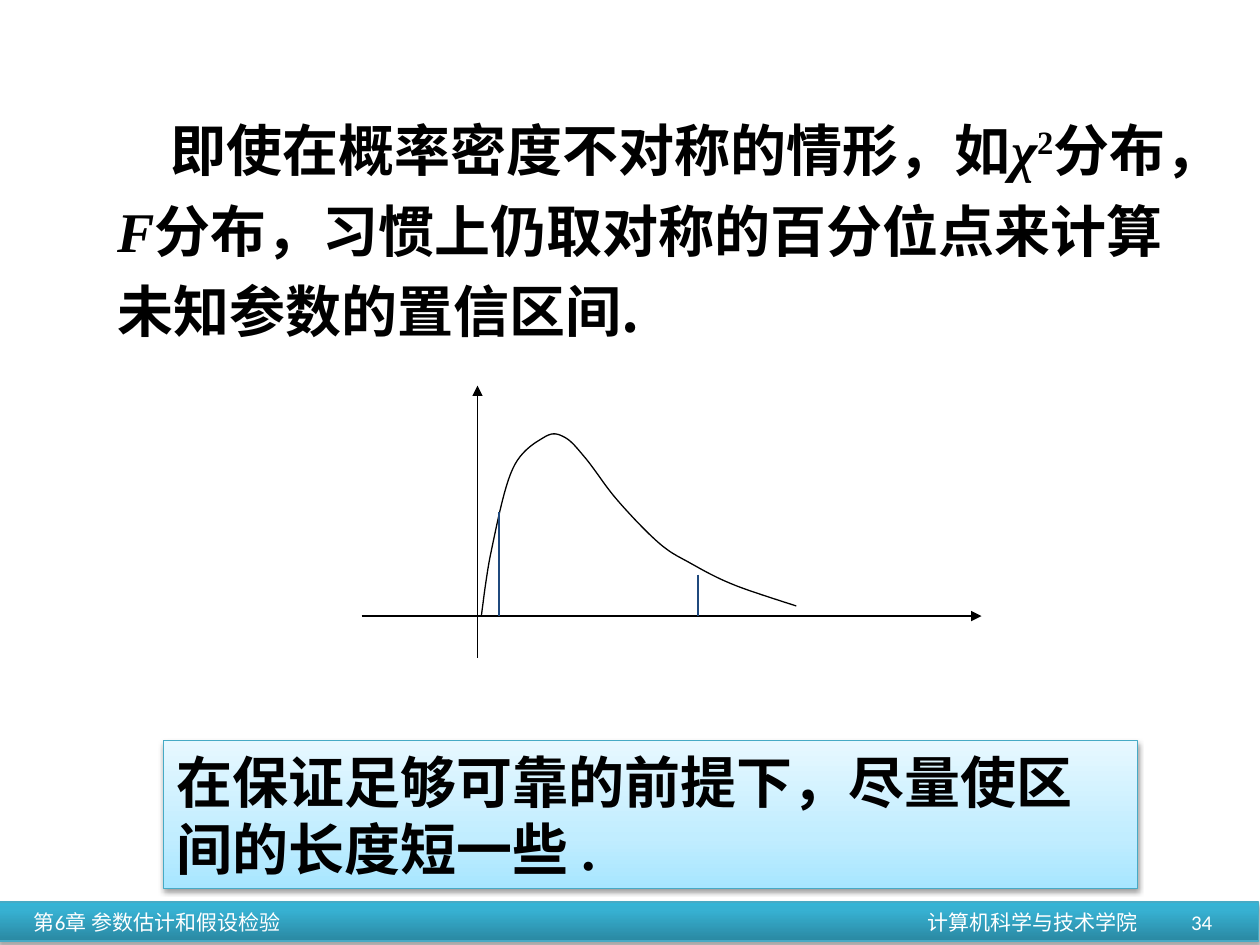
import pptx
import pptx.dml.color
import pptx.enum.shapes
import pptx.enum.text
import pptx.oxml
import pptx.oxml.ns
import pptx.util
from lxml import etree

# Grid: 100 columns by 75 rows; every box is (column, row, columns, rows)
COLUMNS, ROWS = 100, 75
CELL = pptx.util.Inches(0.1)
SANS, SERIF, LATIN = "Noto Sans CJK SC", "Times New Roman", "Calibri"
BLACK, WHITE, EDGE, MARKER = "000000", "FFFFFF", "46AAC5", "1F497D"
qn = pptx.oxml.ns.qn


def cells(*counts):
    return [round(count * CELL) for count in counts]


def colour(code):
    return pptx.dml.color.RGBColor.from_string(code)


def format_run(run, size, code, latin=SANS, bold=False, italic=False):
    run.font.size = pptx.util.Pt(size)
    run.font.bold, run.font.italic = bold, italic
    run.font.color.rgb = colour(code)
    run.font.name = latin
    etree.SubElement(run.font._element, qn("a:ea")).set("typeface", SANS)


def format_line(line, code):
    line.color.rgb = colour(code)
    line.width = pptx.util.Pt(0.75)


def add_panel(slide, box, stops, shadow):
    """Rectangle with an upward gradient and a soft shadow below."""
    panel = slide.shapes.add_shape(
        pptx.enum.shapes.MSO_SHAPE.RECTANGLE, *cells(*box))
    panel.fill.gradient()
    panel.fill.gradient_angle = 90
    stop_list = panel._element.spPr.find(".//" + qn("a:gsLst"))
    for old_stop in list(stop_list):
        stop_list.remove(old_stop)
    for percent, code in stops:
        stop = etree.SubElement(stop_list, qn("a:gs"), pos=str(percent * 1000))
        etree.SubElement(stop, qn("a:srgbClr"), val=code)
    format_line(panel.line, EDGE)

    panel.shadow.inherit = False
    opacity, blur, distance = shadow
    outer = etree.SubElement(
        panel._element.spPr.find(qn("a:effectLst")), qn("a:outerShdw"),
        blurRad=str(pptx.util.Pt(blur)), dist=str(pptx.util.Pt(distance)),
        dir="5400000", rotWithShape="0")
    tint = etree.SubElement(outer, qn("a:srgbClr"), val=BLACK)
    etree.SubElement(tint, qn("a:alpha"), val=str(opacity * 1000))

    panel.text_frame.vertical_anchor = pptx.enum.text.MSO_ANCHOR.MIDDLE
    panel.text_frame.paragraphs[0].alignment = pptx.enum.text.PP_ALIGN.LEFT
    return panel


def add_footer(slide, box):
    left, top, width, height = box
    bar = add_panel(slide, box,
                    [(0, "2A88A2"), (80, "37B1D2"), (100, "34B4D6")],
                    (35, 3.1, 1.8))
    bar.text_frame.margin_left = round(2.8 * CELL)
    chapter = bar.text_frame.paragraphs[0]
    tabs = etree.SubElement(chapter._p.get_or_add_pPr(), qn("a:tabLst"))
    etree.SubElement(tabs, qn("a:tab"), pos=str(round(87.6 * CELL)), algn="r")
    chapter.text = "第6章 参数估计和假设检验\t计算机科学与技术学院"

    number = slide.shapes.add_textbox(
        *cells(left + 74, top - 0.4, 23.3, height + 0.9))
    number.text_frame.word_wrap = True
    number.text_frame.vertical_anchor = pptx.enum.text.MSO_ANCHOR.MIDDLE
    page = number.text_frame.paragraphs[0]
    page.text = "34"
    page.alignment = pptx.enum.text.PP_ALIGN.RIGHT
    for run in (*chapter.runs, *page.runs):
        format_run(run, 12, WHITE, LATIN)


def add_statement(slide, box):
    body = slide.placeholders[1]
    body.left, body.top, body.width, body.height = cells(*box)
    body.text_frame.vertical_anchor = pptx.enum.text.MSO_ANCHOR.MIDDLE
    body.text_frame.auto_size = pptx.enum.text.MSO_AUTO_SIZE.NONE
    paragraph = body.text_frame.paragraphs[0]
    properties = paragraph._p.get_or_add_pPr()
    properties.set("marL", "0")
    properties.set("indent", str(round(4.2 * CELL)))
    etree.SubElement(properties, qn("a:buNone"))
    paragraph.line_spacing = 1.2
    paragraph.space_before = pptx.util.Pt(0)
    for text, latin, italic in [
            ("即使在概率密度不对称的情形，如", SANS, False),
            ("χ", SERIF, True),
            ("2", SERIF, False),
            ("分布，", SANS, False),
            ("F", SERIF, True),
            ("分布，习惯上仍取对称的百分位点来计算未知参数的置信区间.", SANS, False)]:
        run = paragraph.add_run()
        run.text = text
        format_run(run, 32, BLACK, latin, True, italic)
        if text == "2":
            run.font._element.set("baseline", "30000")


def smooth_points(knots, steps=12):
    """Points of a Catmull-Rom curve through the knots."""
    padded = [knots[0], *knots, knots[-1]]
    points = [knots[0]]
    for quad in zip(padded, padded[1:], padded[2:], padded[3:]):
        for step in range(1, steps + 1):
            t = step / steps
            points.append(tuple(
                b + t * (c - a) / 2 + t**2 * (2*a - 5*b + 4*c - d) / 2
                + t**3 * (3*b - a - 3*c + d) / 2
                for a, b, c, d in zip(*quad)))
    return points


def add_density_plot(slide, box):
    left, top, width, height = box
    base, origin = 18.3, 9.2
    plot = slide.shapes.add_group_shape().shapes

    def place(column, row):
        return cells(left + column, top + row)

    def add_segment(start, end, code, arrow=False):
        segment = plot.add_connector(
            pptx.enum.shapes.MSO_CONNECTOR.STRAIGHT,
            *place(*start), *place(*end))
        format_line(segment.line, code)
        if arrow:
            etree.SubElement(segment.line._get_or_add_ln(),
                             qn("a:tailEnd"), type="triangle")
        etree.SubElement(segment._element.spPr, qn("a:effectLst"))

    # Axes
    add_segment((0, base), (width, base), BLACK, arrow=True)
    add_segment((origin, height), (origin, 0), BLACK, arrow=True)

    # Skewed density curve
    knots = [(9.5, base), (10.3, 13.1), (12, 6.6), (14.5, 4.1), (16.1, 4.1),
             (17.8, 5.8), (20.3, 9.1), (23.6, 12.5), (26.1, 14.1),
             (29.5, 15.8), (34.5, 17.5)]
    points = [place(*point) for point in smooth_points(knots)]
    builder = plot.build_freeform(*points[0])
    builder.add_line_segments(points[1:], close=False)
    density = builder.convert_to_shape()
    density.fill.background()
    format_line(density.line, BLACK)
    density.shadow.inherit = False

    # Percentile markers
    for column, row in [(26.7, 15), (10.9, 10)]:
        add_segment((column, row), (column, base), MARKER)


def add_conclusion(slide, box):
    panel = add_panel(slide, box,
                      [(0, "A7E6FF"), (35, "C1EDFF"), (100, "E7F8FF")],
                      (38, 3.1, 1.6))
    panel.text_frame.word_wrap = True
    conclusion = panel.text_frame.paragraphs[0]
    conclusion.text = "在保证足够可靠的前提下，尽量使区间的长度短一些 ."
    format_run(conclusion.runs[0], 32, BLACK, SERIF, True)


def main():
    deck = pptx.Presentation()
    deck.slide_width, deck.slide_height = cells(COLUMNS, ROWS)
    slide = deck.slides.add_slide(deck.slide_layouts[1])
    title = slide.shapes.title._element
    title.getparent().remove(title)

    add_footer(slide, (-0.1, 71.6, COLUMNS, 3.1))
    add_statement(slide, (8.3, 7.6, 87.8, 20.2))
    add_density_plot(slide, (28.7, 30.6, 49.2, 21.6))
    add_conclusion(slide, (13, 58.8, 77.3, 11.7))
    deck.save("out.pptx")


if __name__ == "__main__":
    main()
